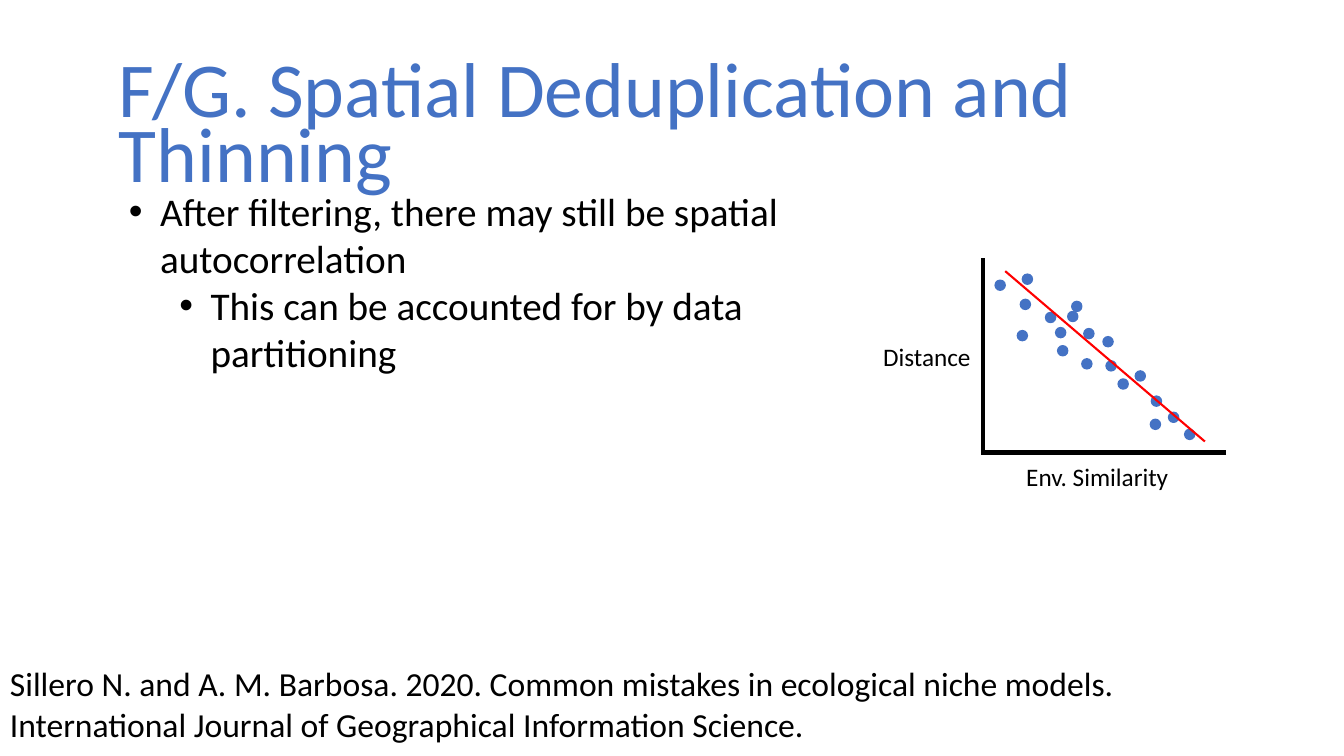
from lxml.etree import SubElement
from pptx import Presentation
from pptx.dml.color import RGBColor
from pptx.enum.shapes import MSO_CONNECTOR, MSO_SHAPE
from pptx.enum.text import MSO_ANCHOR, MSO_AUTO_SIZE
from pptx.oxml.ns import qn
from pptx.util import Inches, Pt

COLORS = {"accent": "4472C4", "ink": "000000", "trend": "FF0000"}
FONT = "Calibri"
DOT_SIZE = 0.1
DOTS = [
    (0.12, 0.22), (0.39, 0.16), (0.37, 0.41), (0.34, 0.72), (0.62, 0.54),
    (0.88, 0.43), (1.67, 1.37), (1.84, 1.53), (2.0, 1.7), (0.84, 0.53),
    (1.0, 0.7), (0.72, 0.69), (0.74, 0.87), (1.22, 1.02), (1.34, 1.2),
    (1.19, 0.78), (0.98, 1.0), (1.51, 1.12), (1.66, 1.6),
]


def color(name):
    return RGBColor.from_string(COLORS[name])


def style_paragraph(para, size, ink):
    para.font.name = FONT
    para.font.size = Pt(size)
    para.font.color.rgb = color(ink)


def add_text(shapes, box, text, size, ink="ink", wrap=True):
    textbox = shapes.add_textbox(*map(Inches, box))
    frame = textbox.text_frame
    frame.word_wrap = wrap
    frame.auto_size = MSO_AUTO_SIZE.SHAPE_TO_FIT_TEXT
    frame.text = text
    style_paragraph(frame.paragraphs[0], size, ink)
    return frame


def add_line(shapes, start, end, ink, width):
    line = shapes.add_connector(MSO_CONNECTOR.STRAIGHT, *map(Inches, start + end))
    line.line.color.rgb = color(ink)
    line.line.width = Pt(width)
    SubElement(line._element.spPr, qn("a:effectLst"))


def add_title(page, box):
    frame = add_text(page.shapes, box, "F/G. Spatial Deduplication and Thinning", 55.5, "accent")
    frame.auto_size = MSO_AUTO_SIZE.NONE
    frame.vertical_anchor = MSO_ANCHOR.MIDDLE
    frame.paragraphs[0].line_spacing = 0.7


def add_bullets(page, box, items):
    textbox = page.shapes.add_textbox(*map(Inches, box))
    frame = textbox.text_frame
    frame.word_wrap = True
    frame.auto_size = MSO_AUTO_SIZE.SHAPE_TO_FIT_TEXT
    for level, text in enumerate(items):
        para = frame.add_paragraph() if level else frame.paragraphs[0]
        para.text = text
        para.level = level
        properties = para._p.get_or_add_pPr()
        properties.set("marL", str(Inches(0.31 + 0.5 * level)))
        properties.set("indent", str(Inches(-0.31)))
        SubElement(properties, qn("a:buFont"), typeface="Arial")
        SubElement(properties, qn("a:buChar"), char="•")
        style_paragraph(para, 28, "ink")


def add_scatter(page, box):
    left, top, width, height = box
    bottom = top + height
    shapes = page.shapes.add_group_shape().shapes
    add_text(shapes, (left + 0.33, bottom + 0.04, 1.68, 0.4), "Env. Similarity", 18, wrap=False)
    add_line(shapes, (left, top), (left, bottom + 0.02), "ink", 3)
    add_line(shapes, (left + width, bottom), (left, bottom), "ink", 3)
    add_text(shapes, (left - 1.09, top + 0.78, 1.08, 0.4), "Distance", 18, wrap=False)
    for x, y in DOTS:
        dot = shapes.add_shape(
            MSO_SHAPE.OVAL, *map(Inches, (left + x, top + y, DOT_SIZE, DOT_SIZE)))
        dot.shadow.inherit = False
        dot.fill.solid()
        dot.fill.fore_color.rgb = color("accent")
        dot.line.color.rgb = color("accent")
        dot.line.width = Pt(1)
    add_line(shapes, (left + 0.22, top + 0.13), (left + 2.2, top + 1.82), "trend", 1.5)


def add_citation(page, box):
    add_text(
        page.shapes, box,
        "Sillero N. and A. M. Barbosa. 2020. Common mistakes in ecological niche models. "
        "International Journal of Geographical Information Science.", 24)


def main():
    deck = Presentation()
    deck.slide_width = Inches(13.33)
    deck.slide_height = Inches(7.5)
    page = deck.slides.add_slide(deck.slide_layouts[6])
    add_title(page, (1.08, 0.57, 11.5, 1.45))
    add_bullets(page, (1.18, 1.81, 7.24, 2.9), [
        "After filtering, there may still be spatial autocorrelation",
        "This can be accounted for by data partitioning",
    ])
    add_citation(page, (0, 6.53, 11.93, 0.91))
    add_scatter(page, (9.75, 2.56, 2.41, 1.93))
    deck.save("out.pptx")


if __name__ == "__main__":
    main()
